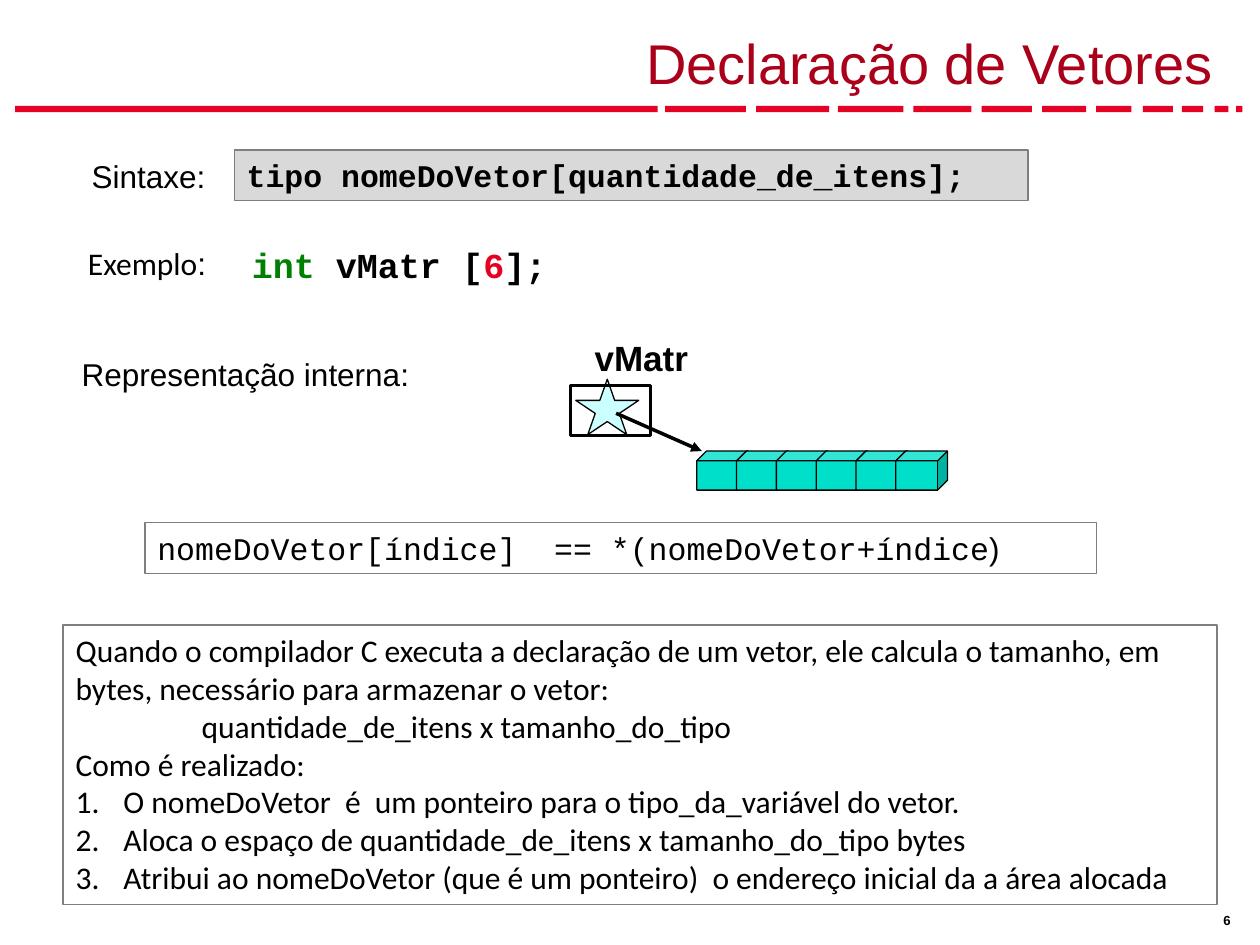
from dataclasses import dataclass

from pptx import Presentation
from pptx import util as u
from pptx.dml.color import RGBColor
from pptx.enum import shapes, text
from pptx.oxml.ns import qn
from lxml import etree

Kind = shapes.MSO_SHAPE


@dataclass(frozen=True)
class Theme:
    ink: str = "000000"
    red: str = "E40123"
    wine: str = "AA001A"
    green: str = "008000"
    teal: str = "00DFCA"
    sky: str = "CCFFFF"
    gray: str = "D9D9D9"
    edge: str = "7F7F7F"
    sans: str = "Arial"
    body: str = "Calibri"
    mono: str = "Courier New"
    head: float = 32
    big: float = 20
    base: float = 18
    tiny: float = 7.5


def write(par, words, face, size, color, bold=False):
    run = par.add_run()
    run.text = words
    font = run.font
    font.name, font.size, font.bold = face, u.Pt(size), bold
    font.color.rgb = RGBColor.from_string(color)


class Page:
    """Draws styled elements on the current slide."""

    def __init__(self, deck, theme):
        self.theme = theme
        self.slide = deck.slides.add_slide(deck.slide_layouts[1])

    def place(self, item, box):
        item.left, item.top, item.width, item.height = map(u.Inches, box)

    def paint(self, item, fill=None, line=None, width=0.75):
        if fill:
            item.fill.solid()
            item.fill.fore_color.rgb = RGBColor.from_string(fill)
        else:
            item.fill.background()
        if line:
            item.line.color.rgb = RGBColor.from_string(line)
            item.line.width = u.Pt(width)
        else:
            item.line.fill.background()

    def frame(self, item, pad=(0.1, 0.05), anchor=text.MSO_ANCHOR.TOP):
        area = item.text_frame
        area.word_wrap = True
        area.auto_size = text.MSO_AUTO_SIZE.NONE
        area.vertical_anchor = anchor
        area.margin_left = area.margin_right = u.Inches(pad[0])
        area.margin_top = area.margin_bottom = u.Inches(pad[1])
        return area

    def fill(self, area, runs, align=text.PP_ALIGN.LEFT, **style):
        par = area.paragraphs[0]
        par.alignment = align
        look = dict(face=self.theme.sans, size=self.theme.base,
                    color=self.theme.ink) | style
        for words, extra in runs:
            write(par, words, **(look | extra))

    def shape(self, kind, box, **look):
        item = self.slide.shapes.add_shape(kind, *map(u.Inches, box))
        item.shadow.inherit = False
        self.paint(item, **look)
        return item

    def label(self, box, *runs, pad=(0.1, 0.05), **style):
        item = self.slide.shapes.add_textbox(*map(u.Inches, box))
        self.fill(self.frame(item, pad), runs, **style)

    def panel(self, box, *runs, fill=None, **style):
        item = self.shape(Kind.RECTANGLE, box, fill=fill, line=self.theme.edge)
        self.fill(self.frame(item), runs, **style)

    def title(self, box, words):
        item = self.slide.shapes.title
        self.place(item, box)
        area = self.frame(item, anchor=text.MSO_ANCHOR.BOTTOM)
        self.fill(area, [(words, {})], align=text.PP_ALIGN.RIGHT,
                  size=self.theme.head, color=self.theme.wine)

    def notes(self, box, rows):
        item = self.slide.placeholders[1]
        self.place(item, box)
        self.paint(item, line=self.theme.edge)
        area = self.frame(item)
        for num, (words, left, mark) in enumerate(rows):
            par = area.paragraphs[0] if num == 0 else area.add_paragraph()
            props = par._p.get_or_add_pPr()
            props.set("marL", str(u.Inches(left)))
            props.set("indent", str(u.Inches(-left if mark else 0)))
            if mark:
                face = etree.SubElement(props, qn("a:buFont"))
                face.set("typeface", "+mj-lt")
                etree.SubElement(props, qn("a:buAutoNum")).set("type", mark)
            else:
                etree.SubElement(props, qn("a:buNone"))
            par.space_before = u.Pt(0)
            write(par, words, self.theme.body, self.theme.base, self.theme.ink)

    def arrow(self, start, end, width):
        ends = map(u.Inches, start + end)
        item = self.slide.shapes.add_connector(shapes.MSO_CONNECTOR.STRAIGHT, *ends)
        item.line.color.rgb = RGBColor.from_string(self.theme.ink)
        item.line.width = u.Pt(width)
        tip = etree.SubElement(item.line._get_or_add_ln(), qn("a:tailEnd"))
        tip.set("type", "triangle")
        etree.SubElement(item._element.spPr, qn("a:effectLst"))


def main():
    deck = Presentation()
    deck.slide_width, deck.slide_height = u.Inches(10), u.Inches(7.5)
    look = Theme()
    page = Page(deck, look)

    bars = [(0.12, 5.1), (5.28, 0.64), (6, 0.58), (6.65, 0.52), (7.25, 0.46),
            (7.79, 0.4), (8.27, 0.35), (8.7, 0.28), (9.07, 0.24),
            (9.38, 0.17), (9.64, 0.11), (9.81, 0.05)]
    for left, wide in bars:
        page.shape(Kind.RECTANGLE, (left, 0.84, wide, 0.05), fill=look.red)
    page.title((0.31, 0.08, 9.42, 0.73), "Declaração de Vetores")
    page.label((9.63, 7.2, 0.33, 0.2), ("6", {}), pad=(0.08, 0.04),
               size=look.tiny, bold=True)

    page.label((0.63, 1.2, 1.4, 0.4), ("Sintaxe:", {}))
    page.panel((1.86, 1.19, 6.3, 0.4),
               ("tipo nomeDoVetor[quantidade_de_itens];", {}),
               fill=look.gray, face=look.mono, bold=True)

    page.label((0.6, 1.89, 1.4, 0.4), ("Exemplo", {"face": look.body}), (":", {}))
    page.label((1.9, 1.88, 4.27, 0.44), ("int ", {"color": look.green}),
               ("vMatr [", {}), ("6", {"color": look.red}), ("];", {}),
               face=look.mono, size=look.big, bold=True)

    page.label((0.55, 2.77, 3.01, 0.4), ("Representação interna:", {}))
    for cell in range(6):
        page.shape(Kind.CUBE, (5.53 + 0.316 * cell, 3.58, 0.41, 0.31),
                   fill=look.teal, line=look.ink)
    page.shape(Kind.STAR_5_POINT, (4.57, 3.01, 0.5, 0.44),
               fill=look.sky, line=look.ink)
    page.arrow((4.89, 3.28), (5.57, 3.58), 2)
    page.label((4.57, 2.62, 1.04, 0.44), ("vMatr", {}),
               align=text.PP_ALIGN.CENTER, size=look.big, bold=True)
    page.shape(Kind.RECTANGLE, (4.53, 3.06, 0.63, 0.4), line=look.ink, width=1.75)

    page.panel((1.15, 4.15, 7.55, 0.4),
               ("nomeDoVetor[índice]  == *(nomeDoVetor+índice", {}),
               (")", {"face": look.sans}), face=look.mono)

    steps = ["O nomeDoVetor  é  um ponteiro para o tipo_da_variável do vetor.",
             "Aloca o espaço de quantidade_de_itens x tamanho_do_tipo bytes",
             "Atribui ao nomeDoVetor (que é um ponteiro)  o endereço inicial da a área alocada"]
    rows = [("Quando o compilador C executa a declaração de um vetor, ele calcula "
             "o tamanho, em bytes, necessário para armazenar o vetor:", 0, None),
            ("quantidade_de_itens x tamanho_do_tipo", 1, None),
            ("Como é realizado:", 0, None)]
    rows += [(step, 0.38, "arabicPeriod") for step in steps]
    page.notes((0.5, 4.96, 9.16, 2.22), rows)

    deck.save("out.pptx")


if __name__ == "__main__":
    main()
